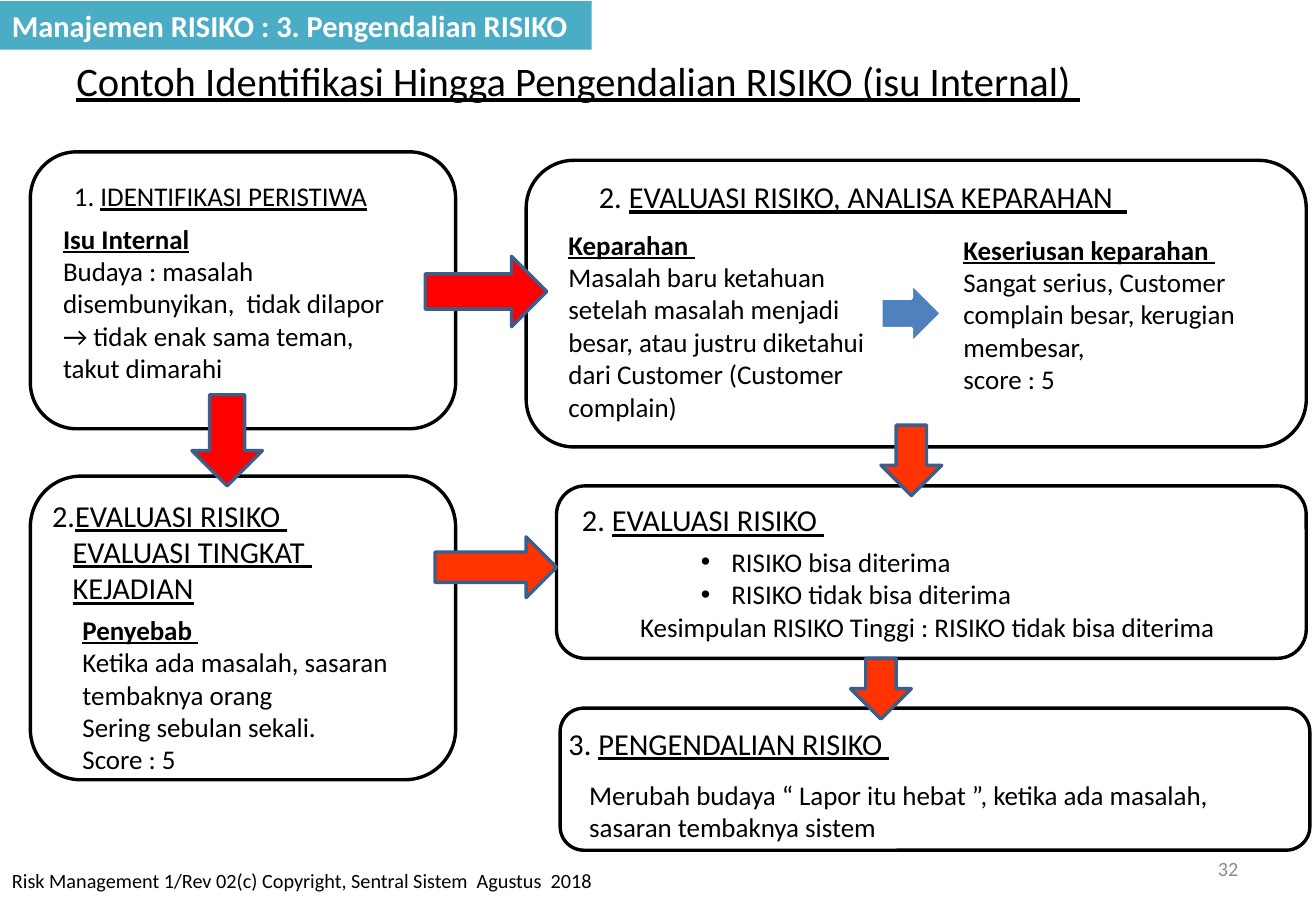
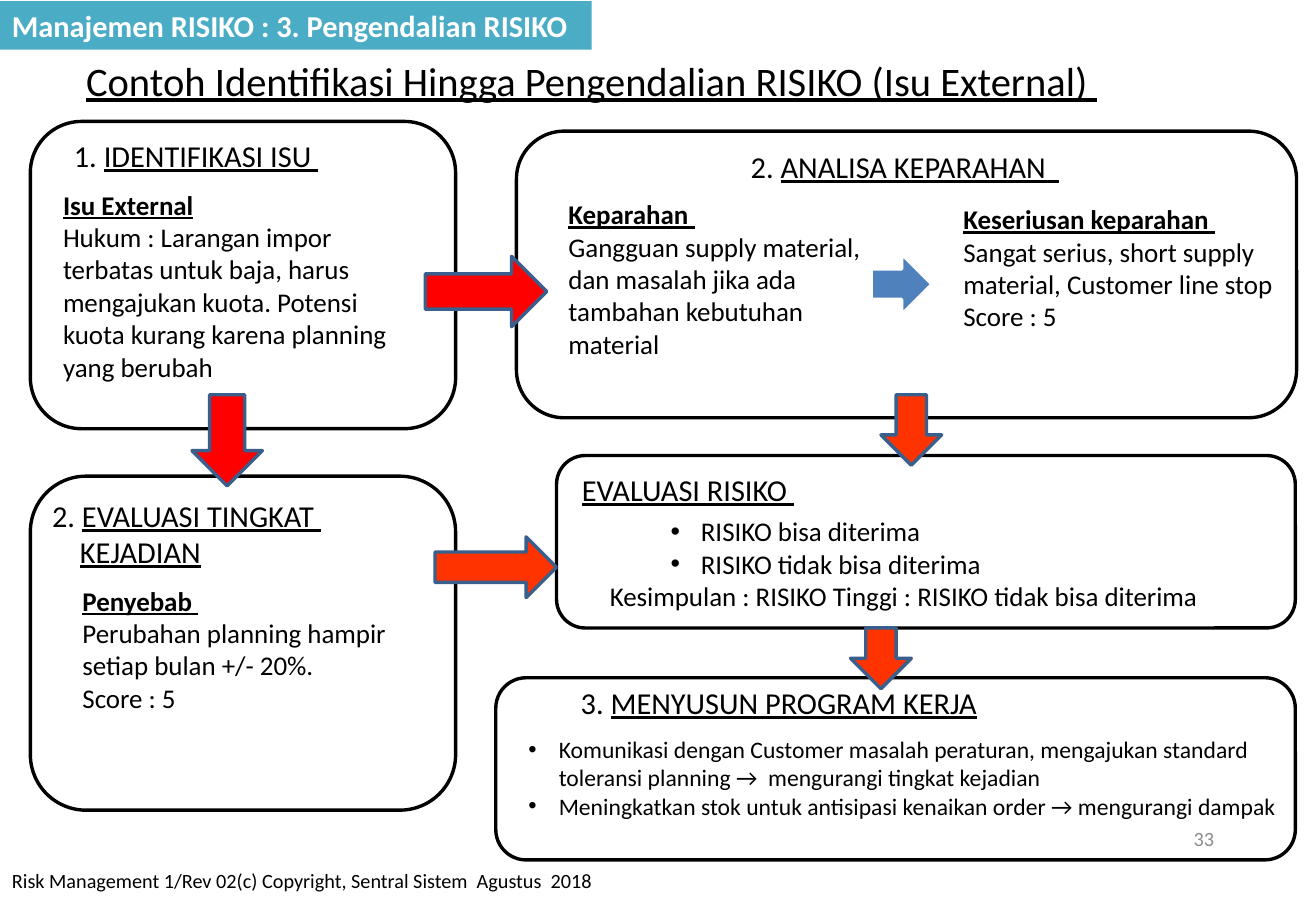
"""Builds two slides that follow a risk from identification to control."""
import pptx
import pptx.dml.color
import pptx.enum.shapes
import pptx.enum.text
import pptx.util
from lxml import etree
from pptx.oxml.ns import qn

Inches = pptx.util.Inches
SHAPES = pptx.enum.shapes.MSO_SHAPE
ALIGN = pptx.enum.text.PP_ALIGN
ANCHOR = pptx.enum.text.MSO_ANCHOR

FONT = "Calibri"
BLACK, WHITE, GREY, TEAL = "000000", "FFFFFF", "8C8C8C", "4BACC6"
RED, ORANGE, BLUE, NAVY = "FF0000", "FF3300", "4F81BD", "3A5F8C"

BAND = "Manajemen RISIKO : 3. Pengendalian RISIKO"
FOOTER = "Risk Management 1/Rev 02(c) Copyright, Sentral Sistem  Agustus  2018"
CHOICES = [("bullet", "RISIKO bisa diterima"), ("bullet", "RISIKO tidak bisa diterima")]

SLIDES = [
    {
        "title": ("Contoh Identifikasi Hingga Pengendalian RISIKO (isu Internal) ", 0.53, 8.54),
        "number": ("32", 7.76, 6.95, 2.53),
        "lift": 0,
        "boxes": [
            (4.58, 4, 6.17, 1.42),
            (4.61, 5.83, 6.17, 1.17),
            (0.25, 3.92, 3.5, 2.5),
            (4.33, 1.32, 6.42, 2.36),
            (0.25, 1.25, 3.5, 2.28),
        ],
        "small_arrow": (7.25, 2.33),
        "headings": [
            ((0.51, 1.43, 2.65, 0.37), 16, 0, [("1. ", "IDENTIFIKASI PERISTIWA")]),
            ((4.83, 1.42, 4.64, 0.4), 18, 0,
             [("2. ", "EVALUASI RISIKO, ANALISA KEPARAHAN  ")]),
            ((0.33, 4.04, 2.36, 1.01), 18, 0.17,
             [("2.", "EVALUASI RISIKO "), ("", "EVALUASI TINGKAT "), ("", "KEJADIAN")]),
            ((4.69, 4.08, 2.21, 0.4), 18, 0, [("2. ", "EVALUASI RISIKO ")]),
            ((4.58, 5.92, 2.87, 0.4), 18, 0, [("3. ", "PENGENDALIAN RISIKO ")]),
        ],
        "bodies": [
            ((0.42, 1.78, 3.08, 1.72), 16, [
                ("lead", "Isu Internal"),
                ("plain", "Budaya : masalah disembunyikan,  tidak dilapor → "
                          "tidak enak sama teman, takut dimarahi")]),
            ((4.58, 1.83, 2.67, 1.75), 16, [
                ("lead", "Keparahan "),
                ("plain", "Masalah baru ketahuan setelah masalah menjadi besar, "
                          "atau justru diketahui dari Customer (Customer complain)")]),
            ((7.83, 1.87, 2.75, 1.45), 16, [
                ("lead", "Keseriusan keparahan "),
                ("plain", "Sangat serius, Customer complain besar, kerugian membesar,"),
                ("plain", "score : 5")]),
            ((0.58, 5, 3.08, 1.45), 16, [
                ("lead", "Penyebab "),
                ("plain", "Ketika ada masalah, sasaran tembaknya orang"),
                ("plain", "Sering sebulan sekali."),
                ("plain", "Score : 5")]),
            ((5.17, 4.44, 5.67, 0.91), 16, CHOICES + [
                ("plain", "Kesimpulan RISIKO Tinggi : RISIKO tidak bisa diterima")]),
            ((4.75, 6.36, 5.42, 0.64), 16, [
                ("plain", "Merubah budaya “ Lapor itu hebat ”, ketika ada masalah, "
                          "sasaran tembaknya sistem")]),
        ],
    },
    {
        "title": ("Contoh Identifikasi Hingga Pengendalian RISIKO (Isu External) ", 0.61, 8.6),
        "number": ("33", 7.65, 6.7, 2.44),
        "lift": 0.25,
        "boxes": [
            (4.58, 3.75, 6.08, 1.42),
            (4.08, 5.58, 6.58, 1.5),
            (0.25, 3.92, 3.5, 2.75),
            (4.25, 1.08, 6.42, 2.36),
            (0.25, 1, 3.5, 2.53),
        ],
        "small_arrow": (7.17, 2.09),
        "headings": [
            ((0.51, 1.08, 2.23, 0.4), 18, 0, [("1. ", "IDENTIFIKASI ISU ")]),
            ((6.08, 1.17, 2.77, 0.4), 18, 0, [("2. ", "ANALISA KEPARAHAN  ")]),
            ((0.33, 4.04, 2.44, 0.71), 18, 0.23,
             [("2. ", "EVALUASI TINGKAT "), ("", "KEJADIAN")]),
            ((4.69, 3.83, 1.96, 0.4), 18, 0, [("", "EVALUASI RISIKO ")]),
            ((4.68, 5.58, 3.49, 0.4), 18, 0, [("3. ", "MENYUSUN PROGRAM KERJA")]),
        ],
        "bodies": [
            ((0.42, 1.5, 3.08, 1.72), 16, [
                ("lead", "Isu External"),
                ("plain", "Hukum : Larangan impor terbatas untuk baja, harus mengajukan "
                          "kuota. Potensi kuota kurang karena planning yang berubah")]),
            ((4.58, 1.58, 2.67, 1.45), 16, [
                ("lead", "Keparahan "),
                ("plain", "Gangguan supply material, dan masalah jika ada "
                          "tambahan kebutuhan material")]),
            ((7.83, 1.62, 2.75, 1.45), 16, [
                ("lead", "Keseriusan keparahan "),
                ("plain", "Sangat serius, short supply material, Customer line stop"),
                ("plain", "Score : 5")]),
            ((0.58, 4.76, 2.75, 1.18), 16, [
                ("lead", "Penyebab "),
                ("plain", "Perubahan planning hampir setiap bulan +/- 20%."),
                ("plain", "Score : 5")]),
            ((4.92, 4.19, 5.83, 0.91), 16, CHOICES + [
                ("plain", "Kesimpulan : RISIKO Tinggi : RISIKO tidak bisa diterima")]),
            ((4.25, 6, 6.42, 1.08), 14, [
                ("outer bullet", "Komunikasi dengan Customer masalah peraturan, mengajukan "
                                 "standard toleransi planning →  mengurangi tingkat kejadian"),
                ("outer bullet", "Meningkatkan stok untuk antisipasi kenaikan order → "
                                 "mengurangi dampak")]),
        ],
    },
]
BULLET_MARGINS = {"bullet": 0.75, "outer bullet": 0.25}


def color(value):
    return pptx.dml.color.RGBColor.from_string(value)


def place(bounds):
    return [Inches(length) for length in bounds]


def add_block(slide, kind, bounds, fill, line=None):
    shape = slide.shapes.add_shape(kind, *place(bounds))
    shape.shadow.inherit = False
    shape.fill.solid()
    shape.fill.fore_color.rgb = color(fill)
    if line:
        shape.line.color.rgb = color(line)
        shape.line.width = pptx.util.Pt(2)
    else:
        shape.line.fill.background()
    return shape


def set_font(paragraph, size, ink=BLACK, bold=False, underline=None):
    font = paragraph.font
    font.name, font.size = FONT, pptx.util.Pt(size)
    font.bold, font.underline = bold, underline
    font.color.rgb = color(ink)


def set_indent(paragraph, margin, first=0):
    properties = paragraph._p.get_or_add_pPr()
    properties.set("marL", str(Inches(margin)))
    properties.set("indent", str(Inches(first)))
    return properties


def add_bullet(paragraph, margin):
    properties = set_indent(paragraph, margin, -0.25)
    etree.SubElement(properties, qn("a:buFont")).set("typeface", "Arial")
    etree.SubElement(properties, qn("a:buChar")).set("char", "•")


def add_frame(slide, bounds, wrap=True):
    frame = slide.shapes.add_textbox(*place(bounds)).text_frame
    frame.word_wrap = wrap
    return frame


def each_paragraph(frame, items):
    for index, item in enumerate(items):
        yield (frame.add_paragraph() if index else frame.paragraphs[0]), item


def add_line(slide, text, bounds, size, wrap=True, **style):
    frame = add_frame(slide, bounds, wrap)
    paragraph = frame.paragraphs[0]
    paragraph.text = text
    set_font(paragraph, size, **style)
    return frame


def add_heading(slide, bounds, size, indent, lines):
    frame = add_frame(slide, bounds, wrap=False)
    for paragraph, (prefix, text) in each_paragraph(frame, lines):
        if indent and not prefix:
            set_indent(paragraph, indent)
        set_font(paragraph, size)
        if prefix:
            paragraph.add_run().text = prefix
        run = paragraph.add_run()
        run.text = text
        run.font.underline = True


def add_body(slide, bounds, size, items):
    frame = add_frame(slide, bounds)
    for paragraph, (kind, text) in each_paragraph(frame, items):
        paragraph.text = text
        if kind in BULLET_MARGINS:
            add_bullet(paragraph, BULLET_MARGINS[kind])
        lead = kind == "lead"
        set_font(paragraph, size, bold=lead, underline=lead)


def add_arrows(slide, lift, small_arrow):
    right, down = SHAPES.RIGHT_ARROW, SHAPES.DOWN_ARROW
    for kind, bounds, fill, line in [
        (right, (3.5, 2.11, 1, 0.58), RED, NAVY),
        (down, (7.25, 3.5 - lift, 0.5, 0.58), ORANGE, NAVY),
        (down, (1.58, 3.25, 0.58, 0.75), RED, NAVY),
        (right, (*small_arrow, 0.5, 0.5), BLUE, WHITE),
        (right, (3.58, 4.42, 1, 0.5), ORANGE, NAVY),
        (down, (7, 5.42 - lift, 0.5, 0.5), ORANGE, NAVY),
    ]:
        add_block(slide, kind, bounds, fill, line)


def add_band(slide):
    band = add_block(slide, SHAPES.RECTANGLE, (0, 0.01, 4.87, 0.4), TEAL)
    band.text_frame.word_wrap = False
    paragraph = band.text_frame.paragraphs[0]
    paragraph.text = BAND
    paragraph.alignment = ALIGN.LEFT
    set_font(paragraph, 18, WHITE, bold=True)


def build_slide(presentation, content):
    slide = presentation.slides.add_slide(presentation.slide_layouts[6])
    add_line(slide, FOOTER, (0, 7.1, 6.42, 0.4), 12)
    for bounds in content["boxes"]:
        add_block(slide, SHAPES.ROUNDED_RECTANGLE, bounds, WHITE, BLACK)
    number, left, top, width = content["number"]
    frame = add_line(slide, number, (left, top, width, 0.4), 12, ink=GREY)
    frame.vertical_anchor = ANCHOR.MIDDLE
    frame.paragraphs[0].alignment = ALIGN.RIGHT
    for body in content["bodies"]:
        add_body(slide, *body)
    add_arrows(slide, content["lift"], content["small_arrow"])
    for heading in content["headings"]:
        add_heading(slide, *heading)
    title, left, width = content["title"]
    add_line(slide, title, (left, 0.41, width, 0.5), 24, wrap=False, underline=True)
    add_band(slide)


def main():
    presentation = pptx.Presentation()
    presentation.slide_width, presentation.slide_height = Inches(10.83), Inches(7.5)
    for content in SLIDES:
        build_slide(presentation, content)
    presentation.save("out.pptx")


if __name__ == "__main__":
    main()
